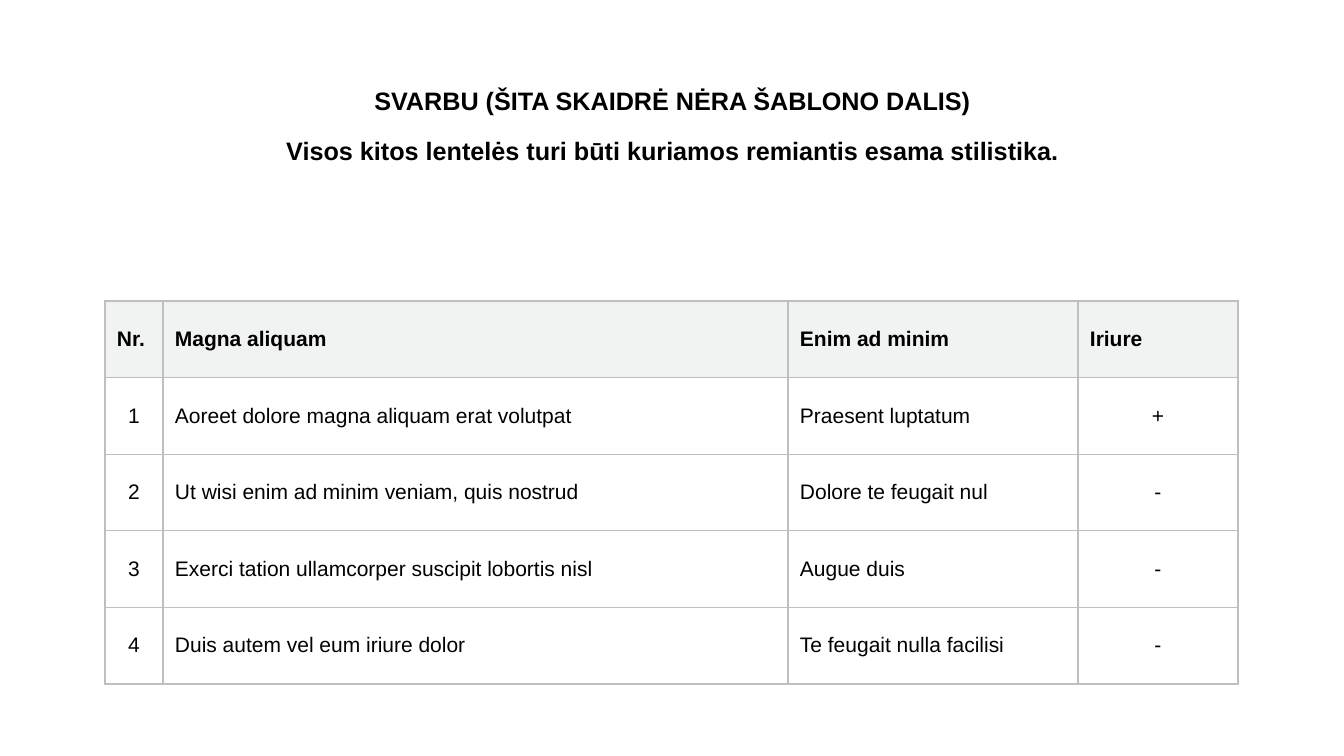
from lxml import etree
from pptx import Presentation
from pptx.dml.color import RGBColor
from pptx.enum.text import MSO_ANCHOR, MSO_AUTO_SIZE, PP_ALIGN
from pptx.oxml.ns import qn
from pptx.util import Emu, Pt

LEFT, CENTER = PP_ALIGN.LEFT, PP_ALIGN.CENTER
MIDDLE = MSO_ANCHOR.MIDDLE
GROW = MSO_AUTO_SIZE.SHAPE_TO_FIT_TEXT

BLACK = RGBColor(0x00, 0x00, 0x00)
WHITE = RGBColor(0xFF, 0xFF, 0xFF)
PALE = RGBColor(0xF1, 0xF2, 0xF2)
GREY = RGBColor(0xBF, 0xBF, 0xBF)
FONT = "Arial"

NOTICE = [
    "SVARBU (ŠITA SKAIDRĖ NĖRA ŠABLONO DALIS)",
    "Visos kitos lentelės turi būti kuriamos remiantis esama stilistika.",
]
WIDTHS = [58, 625, 290, 160]
ROWS = [
    ["Nr.", "Magna aliquam", "Enim ad minim", "Iriure"],
    ["1", "Aoreet dolore magna aliquam erat volutpat", "Praesent luptatum", "+"],
    ["2", "Ut wisi enim ad minim veniam, quis nostrud", "Dolore te feugait nul", "-"],
    ["3", "Exerci tation ullamcorper suscipit lobortis nisl", "Augue duis", "-"],
    ["4", "Duis autem vel eum iriure dolor", "Te feugait nulla facilisi", "-"],
]


def px(n):
    return Emu(round(n * 914400 / 100.8))


def write(frame, lines, size=15, bold=False, align=LEFT, space=1.0, after=0):
    for i, line in enumerate(lines):
        para = frame.add_paragraph() if i else frame.paragraphs[0]
        para.alignment = align
        para.line_spacing = space
        para.space_after = Pt(after)
        run = para.add_run()
        run.text = line
        font = run.font
        font.name, font.size, font.bold = FONT, Pt(size), bold
        font.color.rgb = BLACK


def add_text(slide, lines, x, y, w, h, **style):
    frame = slide.shapes.add_textbox(px(x), px(y), px(w), px(h)).text_frame
    frame.word_wrap = True
    frame.auto_size = GROW
    write(frame, lines, **style)


def set_edges(cell, color, width):
    props = cell._tc.get_or_add_tcPr()
    # Borders come before the fill in the cell properties
    for i, side in enumerate(("lnL", "lnR", "lnT", "lnB")):
        edge = etree.Element(qn("a:" + side), w=str(Pt(width)))
        fill = etree.SubElement(edge, qn("a:solidFill"))
        etree.SubElement(fill, qn("a:srgbClr"), val=str(color))
        props.insert(i, edge)


def style_cell(cell, fill):
    cell.vertical_anchor = MIDDLE
    cell.margin_left = cell.margin_right = px(12)
    cell.margin_top = cell.margin_bottom = px(6)
    cell.fill.solid()
    cell.fill.fore_color.rgb = fill
    set_edges(cell, GREY, 1)


def add_grid(slide, rows, widths, x, y, h):
    table = slide.shapes.add_table(
        len(rows), len(widths), px(x), px(y), px(sum(widths)), px(h)).table
    table.horz_banding = False
    for col, width in zip(table.columns, widths):
        col.width = px(width)
    for r, row in enumerate(rows):
        head = r == 0
        for c, text in enumerate(row):
            cell = table.cell(r, c)
            style_cell(cell, PALE if head else WHITE)
            # Body cells in the outer columns are centred
            outer = c in (0, len(widths) - 1)
            align = CENTER if outer and not head else LEFT
            write(cell.text_frame, [text], bold=head, align=align)


def main():
    deck = Presentation()
    deck.slide_width, deck.slide_height = px(1344), px(756)
    slide = deck.slides.add_slide(deck.slide_layouts[6])

    # Notice at the top
    add_text(slide, NOTICE, 122, 77, 1101, 92, size=18, bold=True,
             align=CENTER, space=1.1, after=12)

    # Sample table
    add_grid(slide, ROWS, WIDTHS, 105, 301, 383)

    deck.save("out.pptx")


if __name__ == "__main__":
    main()
